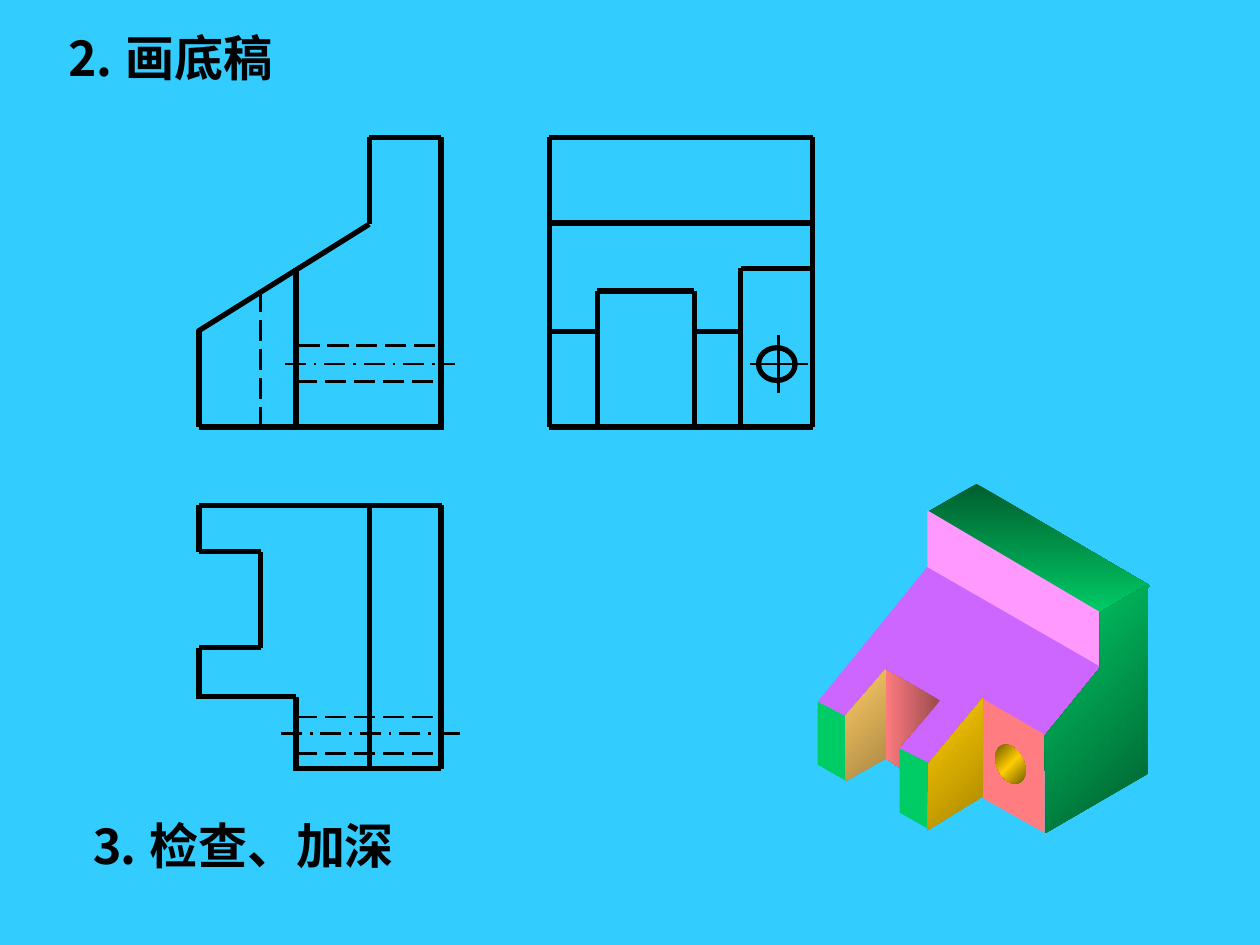
"""Build a drafting slide: three orthographic views and a shaded solid."""
from math import cos, pi, sin

from lxml import etree
from pptx import Presentation
from pptx.dml.color import RGBColor
from pptx.enum import dml, shapes, text
from pptx.oxml.ns import qn
from pptx.util import Inches, Pt

TITLES = [("⒉ 画底稿", 0.42, 0.17, 1.84), ("⒊ 检查、加深", 0.61, 6.42, 2.62)]

FRONT_VIEW = [
    [(1.57, 2.63), (2.93, 1.78), (2.93, 1.09), (3.5, 1.09), (3.5, 3.41)],
    [(1.58, 2.62), (1.58, 3.39), (3.51, 3.39)],
    [(2.35, 2.13), (2.35, 3.39)],
]
SIDE_VIEW = [
    [(4.36, 1.09), (6.45, 1.09), (6.45, 3.39), (4.36, 3.39), (4.36, 1.09)],
    [(4.36, 1.77), (6.44, 1.77)],
    [(4.74, 3.41), (4.74, 2.31), (5.51, 2.31), (5.51, 3.39)],
    [(4.37, 2.63), (4.74, 2.63)],
    [(5.52, 2.63), (5.88, 2.63)],
    [(5.88, 3.39), (5.88, 2.13), (6.47, 2.13)],
]
TOP_VIEW = [
    [(1.58, 4.01), (3.51, 4.01)],
    [(3.5, 4.01), (3.5, 6.1), (2.35, 6.1)],
    [(2.35, 6.12), (2.35, 5.53), (1.57, 5.53)],
    [(1.58, 5.55), (1.58, 5.14), (2.07, 5.14), (2.07, 4.38), (1.58, 4.38), (1.58, 4.01)],
    [(2.93, 6.1), (2.93, 4.01)],
]
HIDDEN_EDGES = [
    [(2.07, 2.31), (2.07, 3.41)],
    [(2.37, 2.74), (3.5, 2.74)],
    [(2.35, 3.03), (3.5, 3.03)],
    [(2.35, 5.69), (3.51, 5.69)],
    [(2.35, 5.98), (3.5, 5.98)],
]
CENTRE_LINES = [[(2.26, 2.89), (3.61, 2.89)], [(2.23, 5.82), (3.65, 5.82)]]
HOLE_CROSS = [[(6.18, 2.66), (6.18, 3.12)], [(5.95, 2.89), (6.41, 2.89)]]
DASH = dml.MSO_LINE
LINE_SETS = [
    (HOLE_CROSS, 1.5, None),
    (CENTRE_LINES, 1.5, DASH.LONG_DASH_DOT),
    (HIDDEN_EDGES, 1.5, DASH.LONG_DASH),
    (FRONT_VIEW + SIDE_VIEW + TOP_VIEW, 3, None),
]

HOLE = [(8.02 + 0.12 * cos(t), 6.065 + 0.155 * sin(t + 0.33))
        for t in (2 * pi * i / 36 for i in range(36))]
FACES = [
    ([(7.36, 4.5), (6.49, 5.57), (6.72, 5.69), (7.02, 5.35), (7.45, 5.56), (7.11, 5.93),
      (7.38, 6.07), (7.8, 5.55), (8.29, 5.84), (8.74, 5.29)], ["CC66FF"], 0),
    ([(7.79, 5.54), (8.29, 5.83), (8.29, 6.61), (7.79, 6.33)], ["FF7C80"], 0),
    ([(7.02, 5.31), (7.46, 5.56), (7.14, 5.93), (7.15, 6.1), (7.02, 6.01)],
     ["9A4B4D", "FF7C80"], 180),
    ([(7.37, 4.06), (7.75, 3.84), (9.13, 4.65), (8.74, 4.87)], ["005E2F", "00CC66"], 90),
    ([(7.36, 4.05), (7.36, 4.5), (8.75, 5.3), (8.75, 4.87)], ["FF99FF"], 0),
    ([(9.11, 4.64), (9.11, 6.14), (8.3, 6.61), (8.29, 5.84), (8.73, 5.3), (8.73, 4.86)],
     ["005E2F", "00CC66"], 225),
    ([(6.49, 5.57), (6.72, 5.69), (6.72, 6.2), (6.49, 6.07)], ["00CC66"], 0),
    ([(7.14, 5.94), (7.38, 6.06), (7.37, 6.58), (7.14, 6.45)], ["00CC66"], 0),
    ([(6.71, 5.68), (7.03, 5.31), (7.03, 6.02), (6.71, 6.2)], ["A98743", "FFCC66"], 225),
    (HOLE, ["755E00", "FFCC00", "755E00"], 225),
    ([(7.37, 6.06), (7.36, 6.59), (7.8, 6.32), (7.8, 5.54)], ["A98700", "FFCC00"], 225),
]


def rgb(value):
    return RGBColor.from_string(value)


def add_path(s, points, width, dash):
    for start, end in zip(points, points[1:]):
        line = s.shapes.add_connector(
            shapes.MSO_CONNECTOR.STRAIGHT, *map(Inches, start + end))
        line.line.color.rgb = rgb("000000")
        line.line.width = Pt(width)
        if dash:
            line.line.dash_style = dash
        etree.SubElement(line._element.spPr, qn("a:effectLst"))


def paint(sp, colours, angle):
    if len(colours) == 1:
        sp.fill.solid()
        sp.fill.fore_color.rgb = rgb(colours[0])
        return
    sp.fill.gradient()
    sp.fill.gradient_angle = 360 - angle
    stops = sp._element.spPr.find(qn("a:gradFill")).find(qn("a:gsLst"))
    for old in list(stops):
        stops.remove(old)
    for i, colour in enumerate(colours):
        stop = etree.SubElement(stops, qn("a:gs"), pos=str(100000 * i // (len(colours) - 1)))
        etree.SubElement(stop, qn("a:srgbClr"), val=colour)


def add_face(s, points, colours, angle):
    corners = [(Inches(x), Inches(y)) for x, y in points]
    builder = s.shapes.build_freeform(*corners[0])
    builder.add_line_segments(corners[1:], close=True)
    sp = builder.convert_to_shape()
    sp.shadow.inherit = False
    sp.line.fill.background()
    paint(sp, colours, angle)


def add_title(s, words, left, top, width):
    tf = s.shapes.add_textbox(*map(Inches, (left, top, width, 0.57))).text_frame
    tf.word_wrap = False
    tf.auto_size = text.MSO_AUTO_SIZE.SHAPE_TO_FIT_TEXT
    r = tf.paragraphs[0].add_run()
    r.text = words
    r.font.name = "Times New Roman"
    r.font.size = Pt(28)
    r.font.bold = True
    r.font.color.rgb = rgb("000000")


def main():
    prs = Presentation()
    prs.slide_width, prs.slide_height = Inches(10), Inches(7.5)
    s = prs.slides.add_slide(prs.slide_layouts[6])
    s.background.fill.solid()
    s.background.fill.fore_color.rgb = rgb("33CCFF")

    for paths, width, dash in LINE_SETS:
        for points in paths:
            add_path(s, points, width, dash)
    hole = s.shapes.add_shape(
        shapes.MSO_SHAPE.OVAL, *map(Inches, (6.02, 2.76, 0.29, 0.26)))
    hole.shadow.inherit = False
    hole.fill.background()
    hole.line.color.rgb = rgb("000000")
    hole.line.width = Pt(3)

    for title in TITLES:
        add_title(s, *title)
    for face in FACES:
        add_face(s, *face)
    prs.save("out.pptx")


if __name__ == "__main__":
    main()
